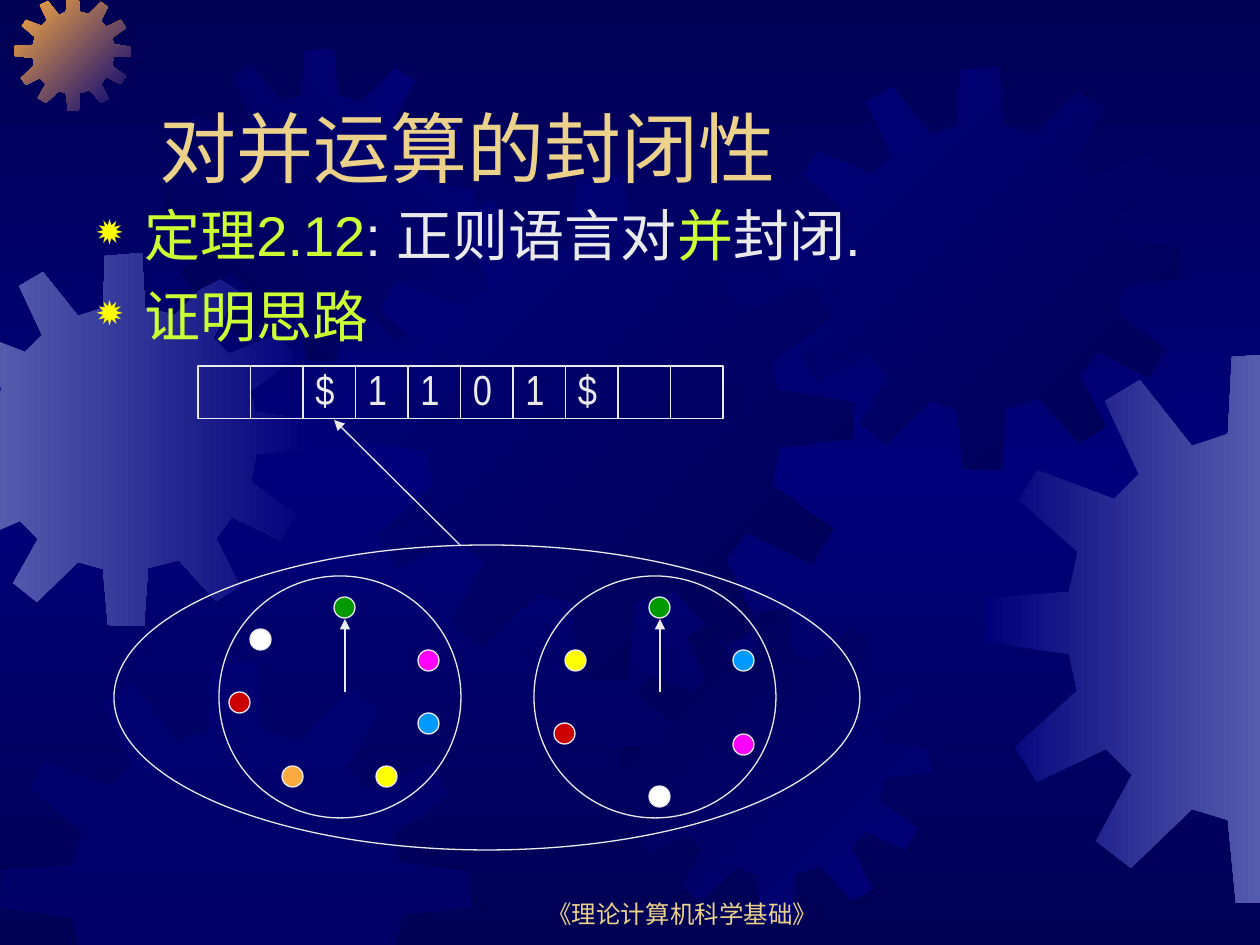
import copy

import pptx
import pptx.dml.color
import pptx.enum.shapes
import pptx.enum.text
import pptx.oxml
import pptx.oxml.ns
import pptx.util

PX = 914400 / 126
SLIDE_W, SLIDE_H = 1260, 945

NAVY, BLUE, STEEL, ORANGE = "000054", "00007A", "555BAD", "FCAB40"
GOLD, PALE, LIME, YELLOW = "EBD189", "EAEAEA", "CCFF33", "FFFF00"
GREEN, SKY, RED, MAGENTA, WHITE = "009900", "0099FF", "CC0000", "FF00FF", "FFFFFF"

GEAR_SIZE = 401
GEAR_OUTLINE = [
    (255, 67), (223, 59), (219, 0), (180, 3), (177, 59), (151, 68), (113, 20), (87, 35),
    (112, 88), (94, 106), (38, 85), (25, 107), (68, 145), (61, 174), (1, 178), (0, 210),
    (61, 219), (67, 246), (22, 287), (38, 312), (88, 288), (107, 307), (81, 355), (106, 375),
    (151, 332), (177, 340), (183, 400), (222, 401), (226, 339), (259, 330), (299, 374), (325, 358),
    (299, 306), (316, 284), (368, 309), (384, 281), (336, 246), (342, 216), (401, 210), (400, 180),
    (341, 171), (335, 148), (383, 114), (367, 87), (313, 109), (296, 91), (323, 41), (297, 25),
]
# left, top, size, colours, gradient angle (clockwise)
GEARS = [
    (-62, 253, 373, [STEEL, BLUE], 0),
    (15, -5, 116, [ORANGE, BLUE], 45),
    (164, 49, 312, [NAVY, BLUE], 315),
    (349, 175, 505, [BLUE, NAVY], 45),
    (0, 661, 471, [BLUE], 0),
    (619, 610, 312, [NAVY, BLUE], 45),
    (779, 67, 403, [BLUE, NAVY], 45),
    (985, 353, 551, [BLUE, STEEL], 0),
]

FOOTER = "《理论计算机科学基础》"
TITLE = "对并运算的封闭性"
POINTS = [
    [("定理2.12", LIME), (": 正则语言对", PALE), ("并", LIME), ("封闭.", PALE)],
    [("证明思路", LIME)],
]

TAPE = ["", "", "$", "1", "1", "0", "1", "$", "", ""]
TAPE_LEFT, TAPE_TOP, TAPE_W = 198, 366, 525
CELL = TAPE_W / len(TAPE)

MACHINE = (114, 545, 746, 305)
READ_HEAD = (460, 545, 334, 420)
DIAL_TOP, DIAL_SIZE, STATE_SIZE = 576, 242, 21
POINTER_X, POINTER_FROM, POINTER_TO = 126, 116, 43
# dial left, states placed relative to the dial
DIALS = [
    (219, [(115, 21, GREEN), (199, 137, SKY), (10, 116, RED), (199, 74, MAGENTA),
           (31, 53, WHITE), (157, 190, YELLOW), (63, 190, ORANGE)]),
    (534, [(115, 21, GREEN), (199, 158, MAGENTA), (20, 147, RED), (199, 74, SKY),
           (31, 74, YELLOW), (115, 210, WHITE)]),
]


def emu(*lengths):
    return [round(length * PX) for length in lengths]


def rgb(colour):
    return pptx.dml.color.RGBColor.from_string(colour)


def add_xml(parent, tag, **attributes):
    child = pptx.oxml.parse_xml(f"<a:{tag} {pptx.oxml.ns.nsdecls('a')}/>")
    for name, value in attributes.items():
        child.set(name, value)
    parent.append(child)
    return child


def paint_gradient(fill, owner, colours, angle):
    """Spread the colours evenly, at a clockwise angle."""
    fill.gradient()
    fill.gradient_angle = (360 - angle) % 360
    stop_list = owner.find(".//" + pptx.oxml.ns.qn("a:gsLst"))
    while len(stop_list) < len(colours):
        stop_list.append(copy.deepcopy(stop_list[0]))
    for i, (stop, colour) in enumerate(zip(fill.gradient_stops, colours)):
        stop.color.rgb = rgb(colour)
        stop.position = i / (len(colours) - 1)


def clip(outline, axis, limit, side):
    """Keep the part of the outline where side * (coordinate - limit) >= 0."""
    kept = []
    for a, b in zip(outline[-1:] + outline[:-1], outline):
        a_in, b_in = (side * (p[axis] - limit) >= 0 for p in (a, b))
        if a_in != b_in:
            t = (limit - a[axis]) / (b[axis] - a[axis])
            kept.append((a[0] + t * (b[0] - a[0]), a[1] + t * (b[1] - a[1])))
        if b_in:
            kept.append(b)
    return kept


def add_gear(shapes, left, top, size, colours, angle):
    ratio = size / GEAR_SIZE
    outline = [(left + x * ratio, top + y * ratio) for x, y in GEAR_OUTLINE]
    for axis, limit, side in ((0, 0, 1), (1, 0, 1), (0, SLIDE_W, -1), (1, SLIDE_H, -1)):
        outline = clip(outline, axis, limit, side)
    builder = shapes.build_freeform(*outline[0], scale=PX)
    builder.add_line_segments(outline[1:], close=True)
    gear = builder.convert_to_shape()
    gear.shadow.inherit = False
    gear.line.fill.background()
    if len(colours) > 1:
        paint_gradient(gear.fill, gear._element, colours, angle)
    else:
        gear.fill.solid()
        gear.fill.fore_color.rgb = rgb(colours[0])
        colour = gear._element.spPr.find(".//" + pptx.oxml.ns.qn("a:srgbClr"))
        add_xml(colour, "alpha", val="50000")


def add_outlined(shapes, kind, box, colour=None):
    shape = shapes.add_shape(kind, *emu(*box))
    shape.shadow.inherit = False
    if colour:
        shape.fill.solid()
        shape.fill.fore_color.rgb = rgb(colour)
    else:
        shape.fill.background()
    shape.line.color.rgb = rgb(PALE)
    shape.line.width = pptx.util.Pt(0.75)


def add_arrow(shapes, ends):
    arrow = shapes.add_connector(pptx.enum.shapes.MSO_CONNECTOR.STRAIGHT, *emu(*ends))
    arrow.line.color.rgb = rgb(PALE)
    arrow.line.width = pptx.util.Pt(0.75)
    add_xml(arrow.line._get_or_add_ln(), "tailEnd", type="triangle")
    add_xml(arrow._element.spPr, "effectLst")


def add_bullet(paragraph):
    properties = paragraph._p.get_or_add_pPr()
    indent = round(0.38 * 914400)
    properties.set("marL", str(indent))
    properties.set("indent", str(-indent))
    add_xml(add_xml(properties, "buClr"), "srgbClr", val=YELLOW)
    add_xml(properties, "buSzPct", val="80000")
    add_xml(properties, "buChar", char="✹")


def add_text(shapes, box, paragraphs, size, font="Arial", anchor="TOP", align="LEFT", bullets=False):
    frame = shapes.add_textbox(*emu(*box)).text_frame
    frame.word_wrap = True
    frame.vertical_anchor = pptx.enum.text.MSO_ANCHOR[anchor]
    for i, runs in enumerate(paragraphs):
        paragraph = frame.add_paragraph() if i else frame.paragraphs[0]
        paragraph.alignment = pptx.enum.text.PP_ALIGN[align]
        if bullets:
            add_bullet(paragraph)
        if i:
            paragraph.space_before = pptx.util.Pt(8)
        for words, colour in runs:
            run = paragraph.add_run()
            run.text = words
            run.font.size = pptx.util.Pt(size)
            run.font.name = font
            run.font.color.rgb = rgb(colour)


def main():
    deck = pptx.Presentation()
    deck.slide_width, deck.slide_height = emu(SLIDE_W, SLIDE_H)
    slide = deck.slides.add_slide(deck.slide_layouts[6])
    shapes = slide.shapes
    rectangle = pptx.enum.shapes.MSO_SHAPE.RECTANGLE
    oval = pptx.enum.shapes.MSO_SHAPE.OVAL

    paint_gradient(slide.background.fill, slide._element, [NAVY, BLUE, NAVY], 90)
    for gear in GEARS:
        add_gear(shapes, *gear)

    add_text(shapes, (483, 872, 399, 63), [[(FOOTER, GOLD)]], 14, anchor="BOTTOM", align="CENTER")
    add_text(shapes, (147, 42, 1071, 157), [[(TITLE, GOLD)]], 44, anchor="BOTTOM")
    add_text(shapes, (84, 194, 1071, 199), POINTS, 32, bullets=True)

    add_arrow(shapes, READ_HEAD)
    for i, symbol in enumerate(TAPE):
        left = TAPE_LEFT + i * CELL
        add_outlined(shapes, rectangle, (left, TAPE_TOP, CELL, CELL))
        if symbol:
            add_text(shapes, (left, TAPE_TOP - 9, CELL, 63), [[(symbol, PALE)]], 24, "Arial Narrow")

    add_outlined(shapes, oval, MACHINE)
    for left, states in DIALS:
        add_outlined(shapes, oval, (left, DIAL_TOP, DIAL_SIZE, DIAL_SIZE))
        for x, y, colour in states:
            add_outlined(shapes, oval, (left + x, DIAL_TOP + y, STATE_SIZE, STATE_SIZE), colour)
        pointer = left + POINTER_X
        add_arrow(shapes, (pointer, DIAL_TOP + POINTER_FROM, pointer, DIAL_TOP + POINTER_TO))

    deck.save("out.pptx")


if __name__ == "__main__":
    main()
